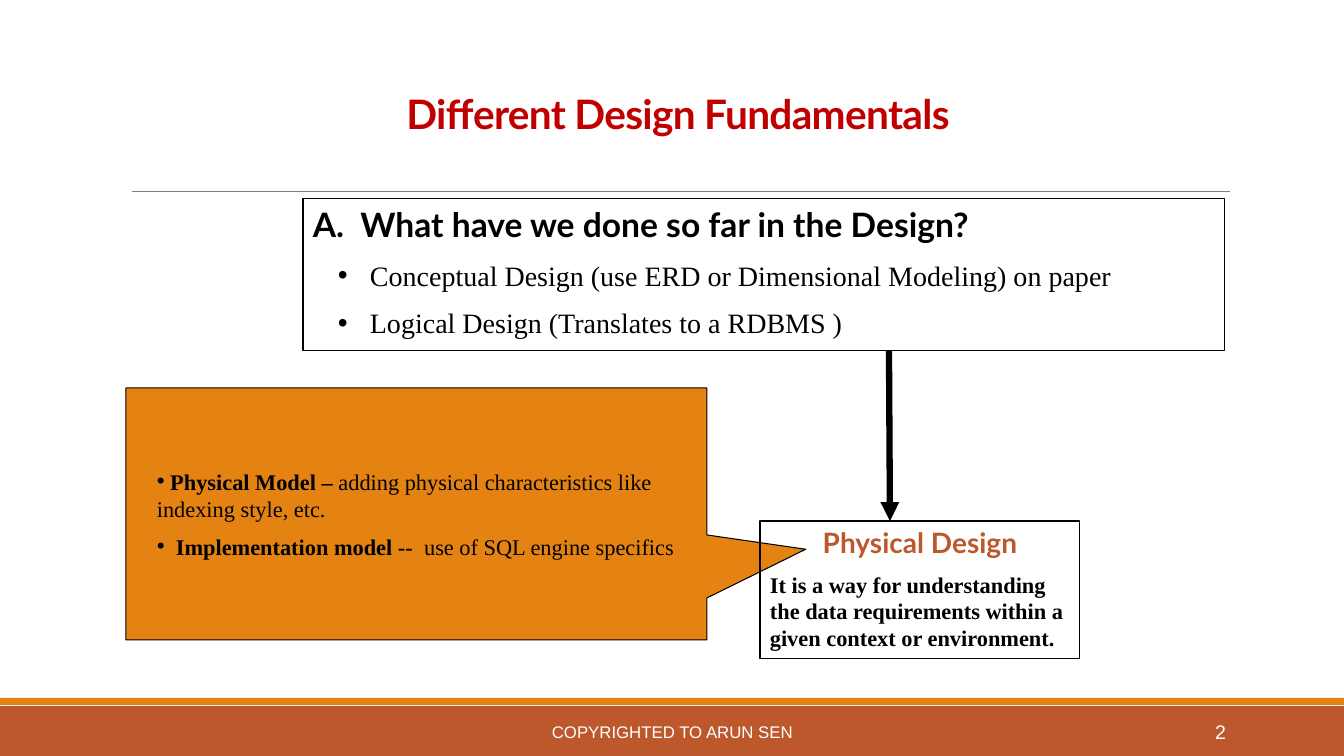
"""Builds the slide on conceptual, logical and physical database design."""
from lxml import etree
from pptx import Presentation
from pptx.dml.color import RGBColor
from pptx.enum.shapes import MSO_CONNECTOR as CONNECTOR, MSO_SHAPE as SHAPE
from pptx.enum.text import MSO_ANCHOR as ANCHOR, PP_ALIGN as ALIGN
from pptx.oxml.ns import qn
from pptx.util import Emu, Pt

SLIDE_W, SLIDE_H = 1344, 756
EMU_PER_PX = 12192000 / SLIDE_W
RUST, ORANGE, RED, BLACK, WHITE, GREY = "BD582C", "E48312", "C00000", "000000", "FFFFFF", "808080"

TITLE_FONT = ("Lato", 29, RED, True)
HEADING = ("Lato", 24, BLACK, True)
SUBHEADING = ("Lato", 20, RUST, True)
ITEM = ("Times New Roman", 20, BLACK, False)
STRONG = ("Times New Roman", 16, BLACK, True)
BODY = ("Times New Roman", 16, BLACK, False)
FOOTER = ("Arial", 12, WHITE, False)
NUMBER = ("Arial", 14, WHITE, False)

OUTER_BULLET, INNER_BULLET = (57, -32), (0, 0)

TITLE = [dict(runs=[("Different Design Fundamentals", TITLE_FONT)], align=ALIGN.CENTER, line=0.85)]
COPYRIGHT = [dict(runs=[("COPYRIGHTED TO ARUN SEN", FOOTER)], align=ALIGN.CENTER)]
PAGE_NUMBER = [dict(runs=[("2", NUMBER)], align=ALIGN.RIGHT)]
DONE_SO_FAR = [
    dict(runs=[("A.  What have we done so far in the Design?", HEADING)]),
    dict(runs=[("Conceptual Design (use ERD or Dimensional Modeling) on paper", ITEM)],
         bullet=OUTER_BULLET, before=10),
    dict(runs=[("Logical Design (Translates to a RDBMS )", ITEM)], bullet=OUTER_BULLET, before=10),
]
MODELS = [
    dict(runs=[(" Physical Model – ", STRONG),
               ("adding physical characteristics like indexing style, etc.", BODY)],
         bullet=INNER_BULLET),
    dict(runs=[("  ", BODY), ("Implementation model --", STRONG),
               ("  use of SQL engine specifics", BODY)],
         bullet=INNER_BULLET, before=8),
]
PHYSICAL_DESIGN = [
    dict(runs=[("Physical Design", SUBHEADING)], align=ALIGN.CENTER),
    dict(runs=[("It is a way for understanding the data requirements within a given context "
                "or environment.", STRONG)], before=8),
]


def px(value):
    return Emu(round(value * EMU_PER_PX))


def color(hex_code):
    return RGBColor.from_string(hex_code)


def add_bullet(para, margin, indent):
    props = para._p.get_or_add_pPr()
    props.set("marL", str(px(margin)))
    props.set("indent", str(px(indent)))
    etree.SubElement(props, qn("a:buFont")).set("typeface", "Arial")
    etree.SubElement(props, qn("a:buChar")).set("char", "•")


def write(shape, paragraphs, anchor=ANCHOR.TOP):
    frame = shape.text_frame
    frame.word_wrap = True
    frame.vertical_anchor = anchor
    for index, content in enumerate(paragraphs):
        para = frame.add_paragraph() if index else frame.paragraphs[0]
        if "bullet" in content:
            add_bullet(para, *content["bullet"])
        para.alignment = content.get("align", ALIGN.LEFT)
        para.line_spacing = content.get("line")
        if "before" in content:
            para.space_before = Pt(content["before"])
        for text, (name, size, ink, bold) in content["runs"]:
            span = para.add_run()
            span.text = text
            span.font.name, span.font.size, span.font.bold = name, Pt(size), bold
            span.font.color.rgb = color(ink)
    return frame


def add_text(page, place, paragraphs, anchor=ANCHOR.TOP):
    return write(page.shapes.add_textbox(*map(px, place)), paragraphs, anchor)


def add_box(page, place, fill=None, outline=None, kind=SHAPE.RECTANGLE):
    box = page.shapes.add_shape(kind, *map(px, place))
    box.shadow.inherit = False
    if fill:
        box.fill.solid()
        box.fill.fore_color.rgb = color(fill)
    else:
        box.fill.background()
    if outline:
        box.line.color.rgb = color(outline)
        box.line.width = Pt(0.75)
    else:
        box.line.fill.background()
    return box


def add_line(page, ends, ink, width):
    line = page.shapes.add_connector(CONNECTOR.STRAIGHT, *map(px, ends))
    line.line.color.rgb = color(ink)
    line.line.width = Pt(width)
    etree.SubElement(line._element.spPr, qn("a:effectLst"))
    return line


def main():
    deck = Presentation()
    deck.slide_width, deck.slide_height = px(SLIDE_W), px(SLIDE_H)
    page = deck.slides.add_slide(deck.slide_layouts[6])

    add_box(page, (0, 706, SLIDE_W, 50), RUST)
    add_box(page, (0, 698, SLIDE_W, 7), ORANGE)
    add_line(page, (132, 191, 1230, 191), GREY, 0.5)

    title = add_text(page, (281, 76, 794, 67), TITLE, ANCHOR.BOTTOM)
    title.paragraphs[0].runs[0].font._element.set("spc", "-50")
    add_text(page, (407, 712, 531, 40), COPYRIGHT, ANCHOR.MIDDLE)
    add_text(page, (1092, 712, 144, 40), PAGE_NUMBER, ANCHOR.MIDDLE)

    write(add_box(page, (303, 199, 922, 152), outline=BLACK), DONE_SO_FAR)
    arrow = add_line(page, (889, 351, 890, 521), BLACK, 4.5)
    etree.SubElement(arrow.line._get_or_add_ln(), qn("a:tailEnd")).set("type", "triangle")

    callout = add_box(page, (126, 388, 581, 252), ORANGE, BLACK, SHAPE.RECTANGULAR_CALLOUT)
    callout.adjustments[0], callout.adjustments[1] = 0.67, 0.14
    add_text(page, (147, 463, 593, 105), MODELS)
    write(add_box(page, (760, 521, 320, 138), outline=BLACK), PHYSICAL_DESIGN)

    deck.save("out.pptx")


if __name__ == "__main__":
    main()
